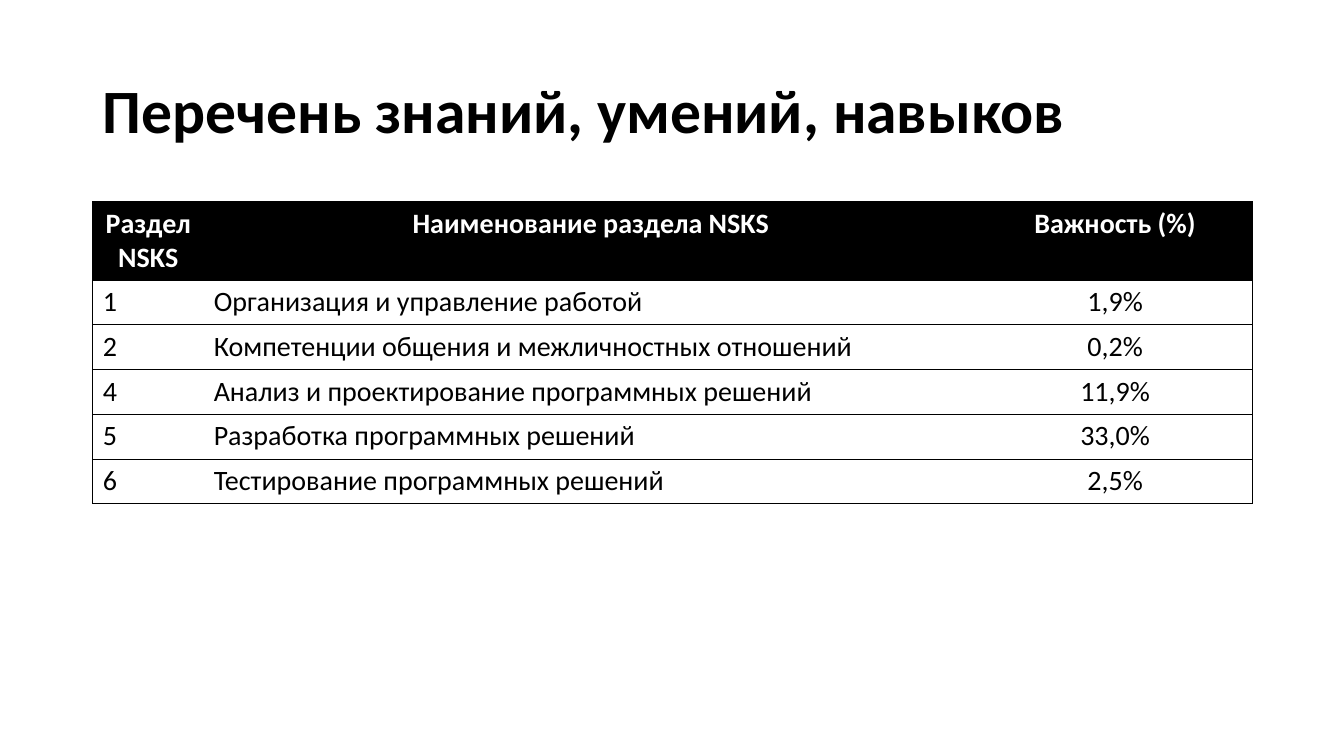
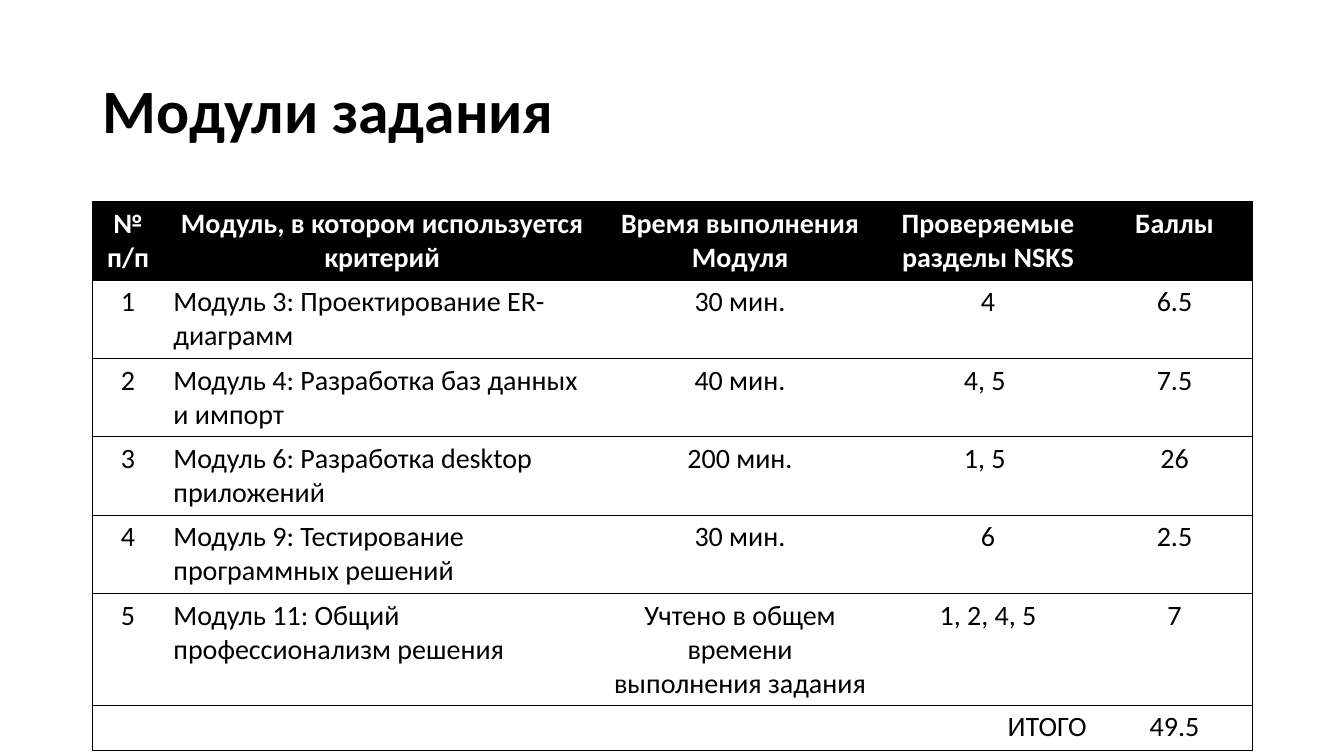
"""Builds two slides with tables: the skill sections and the task modules."""
from dataclasses import dataclass

from lxml.etree import SubElement
from pptx import Presentation
from pptx.dml.color import RGBColor
from pptx.enum.text import MSO_ANCHOR, PP_ALIGN
from pptx.oxml.ns import qn
from pptx.util import Inches, Pt


@dataclass(frozen=True)
class Theme:
    font: str = "Calibri"
    ink: str = "000000"
    paper: str = "FFFFFF"
    title_size: int = 44
    table_size: int = 20
    border: float = 0.5


THEME = Theme()
LEFT, WIDTH = 0.92, 11.5
TITLE_TOP, TITLE_HEIGHT = 0.4, 1.45
TABLE_TOP, ROW_HEIGHT, CELL_BOTTOM = 2, 0.41, 0.06
ALIGNMENTS = {"l": PP_ALIGN.LEFT, "c": PP_ALIGN.CENTER, "r": PP_ALIGN.RIGHT}

SLIDES = [
    {
        "title": "Перечень знаний, умений, навыков",
        "widths": [1.1, 7.68, 2.72],
        "alignments": "llc",
        "header": ["Раздел NSKS", "Наименование раздела NSKS", "Важность (%)"],
        "rows": [
            ["1", "Организация и управление работой", "1,9%"],
            ["2", "Компетенции общения и межличностных отношений", "0,2%"],
            ["4", "Анализ и проектирование программных решений", "11,9%"],
            ["5", "Разработка программных решений", "33,0%"],
            ["6", "Тестирование программных решений", "2,5%"],
        ],
    },
    {
        "title": "Модули задания",
        "widths": [0.7, 4.34, 2.76, 2.16, 1.54],
        "alignments": "clccc",
        "header": ["№ п/п", "Модуль, в котором используется критерий",
                   "Время выполнения Модуля", "Проверяемые разделы NSKS", "Баллы"],
        "rows": [
            ["1", "Модуль 3: Проектирование ER-диаграмм", "30 мин.", "4", "6.5"],
            ["2", "Модуль 4: Разработка баз данных и импорт", "40 мин.", "4, 5 ", "7.5"],
            ["3", "Модуль 6: Разработка desktop приложений", "200 мин.", "1, 5 ", "26"],
            ["4", "Модуль 9: Тестирование\nпрограммных решений", "30 мин.", "6", "2.5"],
            ["5", "Модуль 11: Общий профессионализм решения",
             "Учтено в общем времени выполнения задания", "1, 2, 4, 5", "7"],
        ],
        "total": ["", "ИТОГО", "", "", "49.5"],
    },
]


def write(frame, text, size, color, bold, alignment, line_spacing=None):
    for index, line in enumerate(text.split("\n")):
        paragraph = frame.add_paragraph() if index else frame.paragraphs[0]
        paragraph.alignment = ALIGNMENTS[alignment]
        if line_spacing:
            paragraph.line_spacing = line_spacing
        paragraph.font.size = Pt(size)
        if line:
            run = paragraph.add_run()
            run.text = line
            run.font.name = THEME.font
            run.font.size = Pt(size)
            run.font.bold = bold
            run.font.color.rgb = RGBColor.from_string(color)


def draw_borders(cell, visible_sides):
    properties = cell._tc.get_or_add_tcPr()
    for position, side in enumerate("LRTB"):
        border = SubElement(properties, qn(f"a:ln{side}"), w=str(Pt(THEME.border)))
        if side in visible_sides:
            fill = SubElement(border, qn("a:solidFill"))
            SubElement(fill, qn("a:srgbClr"), val=THEME.ink)
        else:
            SubElement(border, qn("a:noFill"))
        properties.insert(position, border)


def add_title(slide, title):
    box = slide.shapes.add_textbox(
        Inches(LEFT), Inches(TITLE_TOP), Inches(WIDTH), Inches(TITLE_HEIGHT))
    frame = box.text_frame
    frame.word_wrap = True
    frame.vertical_anchor = MSO_ANCHOR.MIDDLE
    write(frame, title, THEME.title_size, THEME.ink, True, "l", 0.9)


def add_grid(slide, content):
    widths, total = content["widths"], content.get("total")
    rows = [content["header"], *content["rows"]] + ([total] if total else [])
    last_row, last_column = len(rows) - 1, len(widths) - 1
    table = slide.shapes.add_table(
        len(rows), len(widths), Inches(LEFT), Inches(TABLE_TOP),
        Inches(WIDTH), Inches(ROW_HEIGHT * len(rows))).table
    table.horz_banding = False
    for column, width in zip(table.columns, widths):
        column.width = Inches(width)
    for r, texts in enumerate(rows):
        table.rows[r].height = Inches(ROW_HEIGHT)
        is_header = r == 0
        for c, text in enumerate(texts):
            cell = table.cell(r, c)
            alignment = "c" if is_header else content["alignments"][c]
            if texts is total and 0 < c < last_column:
                alignment = "r"
            cell.margin_bottom = Inches(CELL_BOTTOM)
            cell.fill.solid()
            cell.fill.fore_color.rgb = RGBColor.from_string(
                THEME.ink if is_header else THEME.paper)
            write(cell.text_frame, text, THEME.table_size,
                  THEME.paper if is_header else THEME.ink, is_header, alignment)
            draw_borders(cell, "TB" + "L" * (c == 0) + "R" * (c == last_column))
    if total:
        table.cell(last_row, 1).merge(table.cell(last_row, last_column - 1))


def main():
    presentation = Presentation()
    presentation.slide_width = Inches(13.33)
    presentation.slide_height = Inches(7.5)
    blank = presentation.slide_layouts[6]
    for content in SLIDES:
        slide = presentation.slides.add_slide(blank)
        add_title(slide, content["title"])
        add_grid(slide, content)
    presentation.save("out.pptx")


if __name__ == "__main__":
    main()
